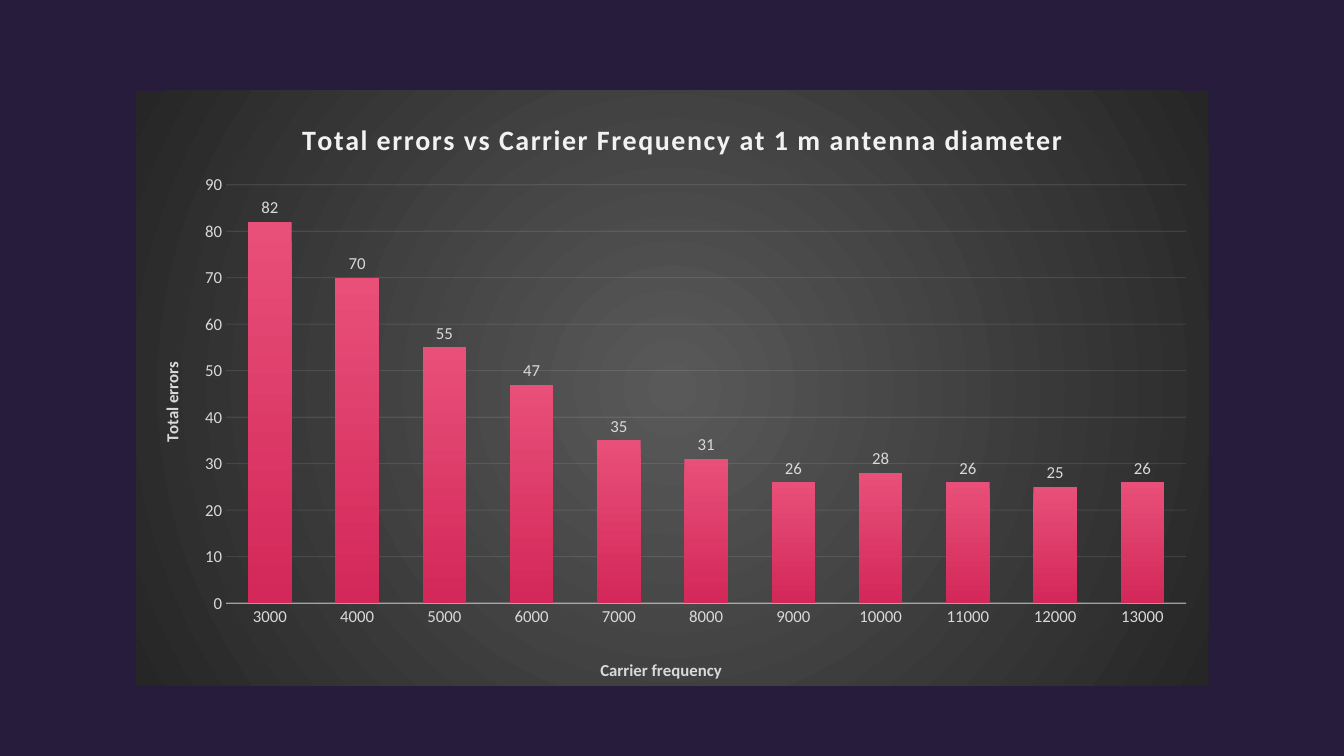
from lxml.etree import SubElement
from pptx import Presentation
from pptx.chart.data import CategoryChartData
from pptx.dml.color import RGBColor
from pptx.enum.chart import XL_CHART_TYPE as ChartType, XL_LABEL_POSITION as LabelPosition, XL_TICK_MARK as TickMark
from pptx.oxml import parse_xml
from pptx.oxml.ns import nsdecls, qn
from pptx.util import Cm, Pt

BACKGROUND = RGBColor(0x27, 0x1C, 0x3B)
CENTRE_GREY = RGBColor(0x59, 0x59, 0x59)
EDGE_GREY = RGBColor(0x26, 0x26, 0x26)
LIGHT = RGBColor(0xF2, 0xF2, 0xF2)
LABEL_GREY = RGBColor(0xD9, 0xD9, 0xD9)
PINK = RGBColor(0xE8, 0x4F, 0x79)
CRIMSON = RGBColor(0xD3, 0x28, 0x59)
LABEL_FONT = {"name": "Calibri", "size": Pt(12), "bold": False}
AXIS_TITLE_FONT = {**LABEL_FONT, "bold": True}
TITLE_FONT = {"name": "Calibri", "size": Pt(20), "bold": True}


def format_font(font, values, color):
    for name, value in values.items():
        setattr(font, name, value)
    font.color.rgb = color


def place(element, index, **fractions):
    for old_layout in element.findall(qn("c:layout")):
        element.remove(old_layout)
    layout = parse_xml(f"<c:layout {nsdecls('c')}><c:manualLayout/></c:layout>")
    for tag, value in fractions.items():
        SubElement(layout[0], qn(f"c:{tag}")).set("val", str(value))
    element.insert(index, layout)


presentation = Presentation()
presentation.slide_width, presentation.slide_height = Cm(33.87), Cm(19.05)
slide = presentation.slides.add_slide(presentation.slide_layouts[6])
slide.background.fill.solid()
slide.background.fill.fore_color.rgb = BACKGROUND

chart_data = CategoryChartData()
chart_data.categories = [str(frequency) for frequency in range(3000, 14000, 1000)]
chart_data.add_series("Series 1", [82, 70, 55, 47, 35, 31, 26, 28, 26, 25, 26])
chart = slide.shapes.add_chart(
    ChartType.COLUMN_CLUSTERED, Cm(3.43), Cm(2.29), Cm(27.03), Cm(14.99), chart_data
).chart
chart.has_legend = False
format_font(chart.font, LABEL_FONT, LABEL_GREY)
chart.element.find(qn("c:chart")).addnext(parse_xml(
    f"<c:spPr {nsdecls('c', 'a')}><a:gradFill><a:gsLst>"
    f"<a:gs pos='0'><a:srgbClr val='{CENTRE_GREY}'/></a:gs>"
    f"<a:gs pos='100000'><a:srgbClr val='{EDGE_GREY}'/></a:gs></a:gsLst>"
    "<a:path path='circle'><a:fillToRect l='50000' t='50000' r='50000' b='50000'/></a:path>"
    "</a:gradFill><a:ln><a:noFill/></a:ln></c:spPr>"
))

plot = chart.plots[0]
plot.gap_width, plot.overlap, plot.vary_by_categories = 100, -24, False
plot.has_data_labels = True
labels = plot.data_labels
labels.show_value = True
labels.position = LabelPosition.OUTSIDE_END
format_font(labels.font, LABEL_FONT, LABEL_GREY)

bar_fill = plot.series[0].format.fill
bar_fill.gradient()
bar_fill.gradient_angle = 270
for stop, color, position in zip(bar_fill.gradient_stops, (PINK, CRIMSON), (0, 1)):
    stop.color.rgb = color
    stop.position = position

category_axis, value_axis = chart.category_axis, chart.value_axis
value_axis.minimum_scale, value_axis.maximum_scale, value_axis.major_unit = 0, 90, 10
value_axis.has_major_gridlines = True
value_axis.format.line.fill.background()
for axis in (category_axis, value_axis):
    axis.major_tick_mark = axis.minor_tick_mark = TickMark.NONE
    format_font(axis.tick_labels.font, LABEL_FONT, LABEL_GREY)

for line, width, opacity in (
    (category_axis.format.line, 1, 54),
    (value_axis.major_gridlines.format.line, 0.75, 10),
):
    line.width = Pt(width)
    line.color.rgb = LIGHT
    color_element = line.fill._xPr.find(".//" + qn("a:srgbClr"))
    SubElement(color_element, qn("a:alpha")).set("val", str(opacity * 1000))

chart.has_title = True
for title, text, font_values, color, x, y in (
    (chart.chart_title, "Total errors vs Carrier Frequency at 1 m antenna diameter", TITLE_FONT, LIGHT, 0.15, 0.04),
    (category_axis.axis_title, "Carrier frequency", AXIS_TITLE_FONT, LABEL_GREY, 0.43, 0.95),
    (value_axis.axis_title, "Total errors", AXIS_TITLE_FONT, LABEL_GREY, 0.02, 0.45),
):
    title.text_frame.text = text
    run = title.text_frame.paragraphs[0].runs[0]
    format_font(run.font, font_values, color)
    place(title._element, 1, xMode="edge", yMode="edge", x=x, y=y)
chart.chart_title.include_in_layout = False
chart.chart_title.text_frame.paragraphs[0].runs[0].font._element.set("spc", "100")
place(
    chart.element.find(".//" + qn("c:plotArea")), 0,
    layoutTarget="inner", xMode="edge", yMode="edge", x=0.084, y=0.158, w=0.895, h=0.704,
)

presentation.save("out.pptx")
